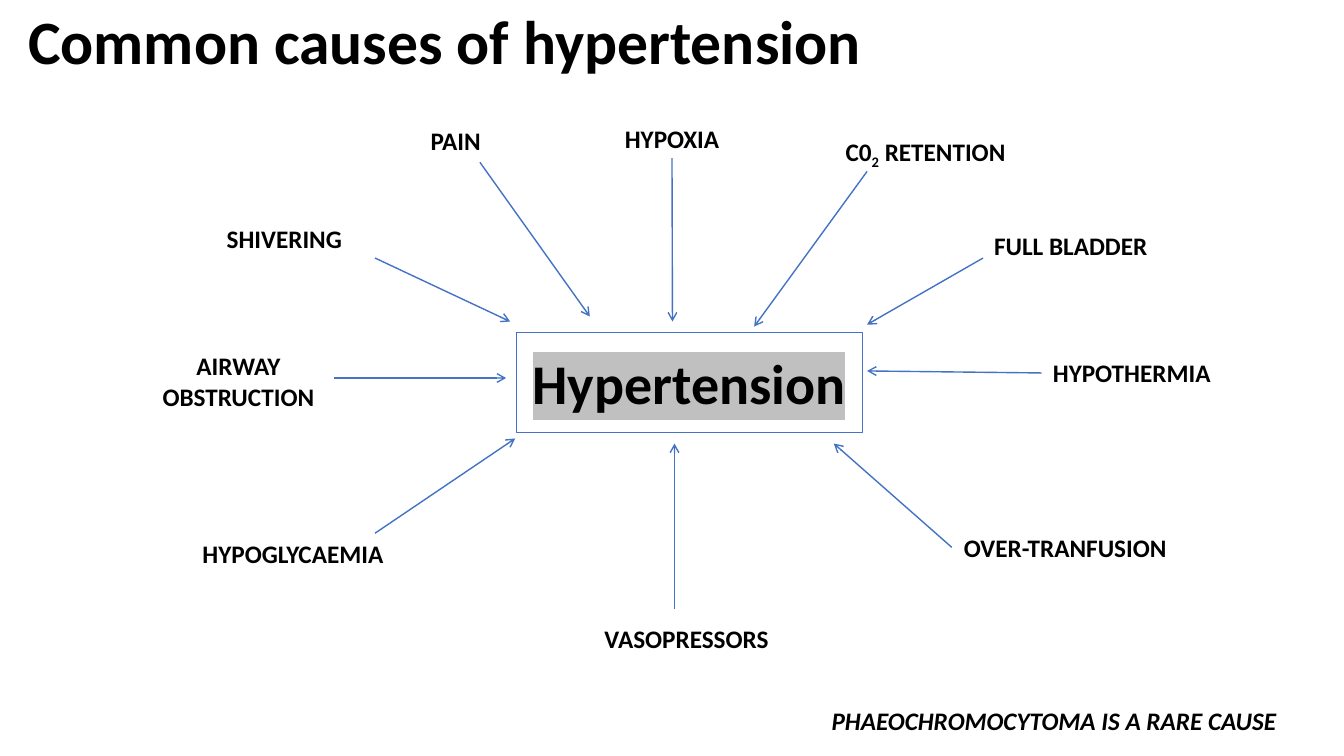
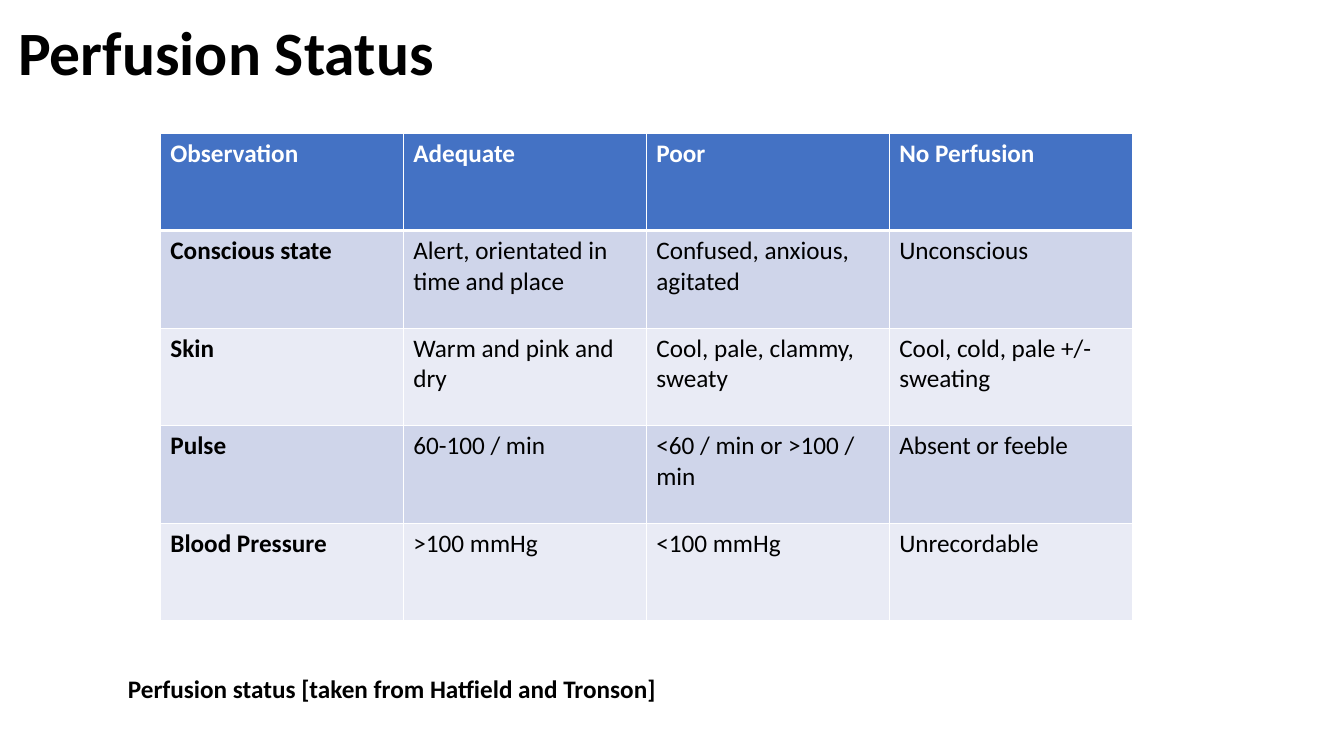
from lxml.etree import SubElement
from pptx import Presentation
from pptx.dml.color import RGBColor
from pptx.enum.shapes import MSO_CONNECTOR, MSO_SHAPE
from pptx.enum.text import MSO_ANCHOR, MSO_AUTO_SIZE, PP_ALIGN
from pptx.oxml.ns import qn
from pptx.util import Pt

PX = 9144  # 100 px to the inch
FONT = "Calibri"
COLORS = {"text": "000000", "white": "FFFFFF", "accent": "4472C4",
          "highlight": "C0C0C0", "band_dark": "CFD5EA", "band_light": "E9EBF5"}
RGB = {name: RGBColor.from_string(value) for name, value in COLORS.items()}


def add_run(p, text, size=18, color="text", bold=True, italic=False):
    r = p.add_run()
    r.text = text
    r.font.name = FONT
    r.font.size = Pt(size)
    r.font.bold = bold
    r.font.italic = italic
    r.font.color.rgb = RGB[color]
    return r


def add_label(s, box, lines, align=PP_ALIGN.LEFT, italic=False):
    sp = s.shapes.add_textbox(*(v * PX for v in box))
    tf = sp.text_frame
    tf.word_wrap = False
    tf.auto_size = MSO_AUTO_SIZE.SHAPE_TO_FIT_TEXT
    for i, line in enumerate(lines):
        p = tf.paragraphs[0] if i == 0 else tf.add_paragraph()
        p.alignment = align
        if line:
            add_run(p, line, italic=italic)
    return sp


prs = Presentation()
prs.slide_width, prs.slide_height = 1333 * PX, 750 * PX

# Slides and their titles
TITLES = [
    ("Common causes of hypertension", (18, -18, 900, 125)),
    ("Perfusion Status", (8, 0, 1150, 111)),
]
for text, box in TITLES:
    title = prs.slides.add_slide(prs.slide_layouts[5]).shapes.title
    title.left, title.top, title.width, title.height = (v * PX for v in box)
    title.text_frame.vertical_anchor = MSO_ANCHOR.MIDDLE
    p = title.text_frame.paragraphs[0]
    p.alignment = PP_ALIGN.LEFT
    p.line_spacing = 0.9
    add_run(p, text, 44)
causes_slide, perfusion_slide = prs.slides

# Central box
s = causes_slide
sp = s.shapes.add_shape(MSO_SHAPE.RECTANGLE, 512 * PX, 330 * PX, 343 * PX, 99 * PX)
sp.shadow.inherit = False
sp.fill.background()
sp.line.color.rgb = RGB["accent"]
sp.line.width = Pt(0.5)
sp.text_frame.vertical_anchor = MSO_ANCHOR.MIDDLE
p = sp.text_frame.paragraphs[0]
p.alignment = PP_ALIGN.CENTER
r = add_run(p, "Hypertension", 40)
highlight = SubElement(r.font._element, qn("a:highlight"))
SubElement(highlight, qn("a:srgbClr"), val=COLORS["highlight"])
r.font._element.find(qn("a:latin")).addprevious(highlight)

# Causes: text, label box, arrow start, arrow end, joined side of the label
CAUSES = [
    ("PAIN", (414, 119, 76, 40), (476, 161), (585, 314), None),
    ("HYPOXIA", (609, 117, 115, 40), (667, 157), (667, 319), 2),
    ("FULL BLADDER", (975, 224, 174, 40), (975, 256), (860, 322), None),
    ("HYPOTHERMIA", (1033, 350, 179, 40), (1033, 370), (860, 368), 1),
    ("OVER-TRANFUSION", (944, 523, 225, 40), (944, 543), (827, 440), 1),
    ("VASOPRESSORS", (588, 613, 186, 40), (669, 604), (669, 440), None),
    ("HYPOGLYCAEMIA", (188, 529, 205, 40), (372, 529), (511, 435), None),
    ("AIRWAY\nOBSTRUCTION", (151, 343, 171, 71), (331, 375), (502, 375), None),
    ("SHIVERING", (214, 217, 136, 40), (372, 256), (506, 319), None),
    ("", (825, 130, 186, 40), (860, 170), (748, 324), None),
]
for text, box, start, end, side in CAUSES:
    label = add_label(s, box, text.split("\n"), PP_ALIGN.CENTER)
    if not text:
        p = label.text_frame.paragraphs[0]
        add_run(p, "C0")
        add_run(p, "2").font._element.set("baseline", "-25000")
        add_run(p, " RETENTION")
    arrow = s.shapes.add_connector(MSO_CONNECTOR.STRAIGHT, *(v * PX for v in start + end))
    if side is not None:
        arrow.begin_connect(label, side)
    arrow.line.color.rgb = RGB["accent"]
    arrow.line.width = Pt(1)
    SubElement(arrow.line._get_or_add_ln(), qn("a:tailEnd"), type="arrow")
    SubElement(arrow._element.spPr, qn("a:effectLst"))

add_label(s, (815, 695, 466, 40), ["PHAEOCHROMOCYTOMA IS A RARE CAUSE"], italic=True)

# Perfusion table
s = perfusion_slide
ROWS = [
    ("Observation", "Adequate", "Poor", "No Perfusion"),
    ("Conscious state", "Alert, orientated in time and place",
     "Confused, anxious, agitated", "Unconscious"),
    ("Skin", "Warm and pink and dry", "Cool, pale, clammy, sweaty",
     "Cool, cold, pale +/- sweating"),
    ("Pulse", "60-100 / min", "<60 / min or >100 / min", "Absent or feeble"),
    ("Blood Pressure", ">100 mmHg", "<100 mmHg", "Unrecordable"),
]
table = s.shapes.add_table(len(ROWS), len(ROWS[0]), 159 * PX, 132 * PX,
                           964 * PX, 484 * PX).table
table.horz_banding = False
for i, row in enumerate(ROWS):
    header = i == 0
    fill = "accent" if header else ("band_light", "band_dark")[i % 2]
    for j, text in enumerate(row):
        cell = table.cell(i, j)
        tcPr = cell._tc.get_or_add_tcPr()
        for edge in "LRTB":
            thick = (i, edge) in ((0, "B"), (1, "T"))
            ln = SubElement(tcPr, qn(f"a:ln{edge}"), w=str(Pt(3 if thick else 1)))
            color = SubElement(SubElement(ln, qn("a:solidFill")), qn("a:srgbClr"))
            color.set("val", COLORS["white"])
        cell.fill.solid()
        cell.fill.fore_color.rgb = RGB[fill]
        add_run(cell.text_frame.paragraphs[0], text,
                color="white" if header else "text", bold=header or j == 0)

# Source of the table
add_label(s, (117, 663, 563, 40), ["Perfusion status [taken from Hatfield and Tronson]"])

prs.save("out.pptx")
